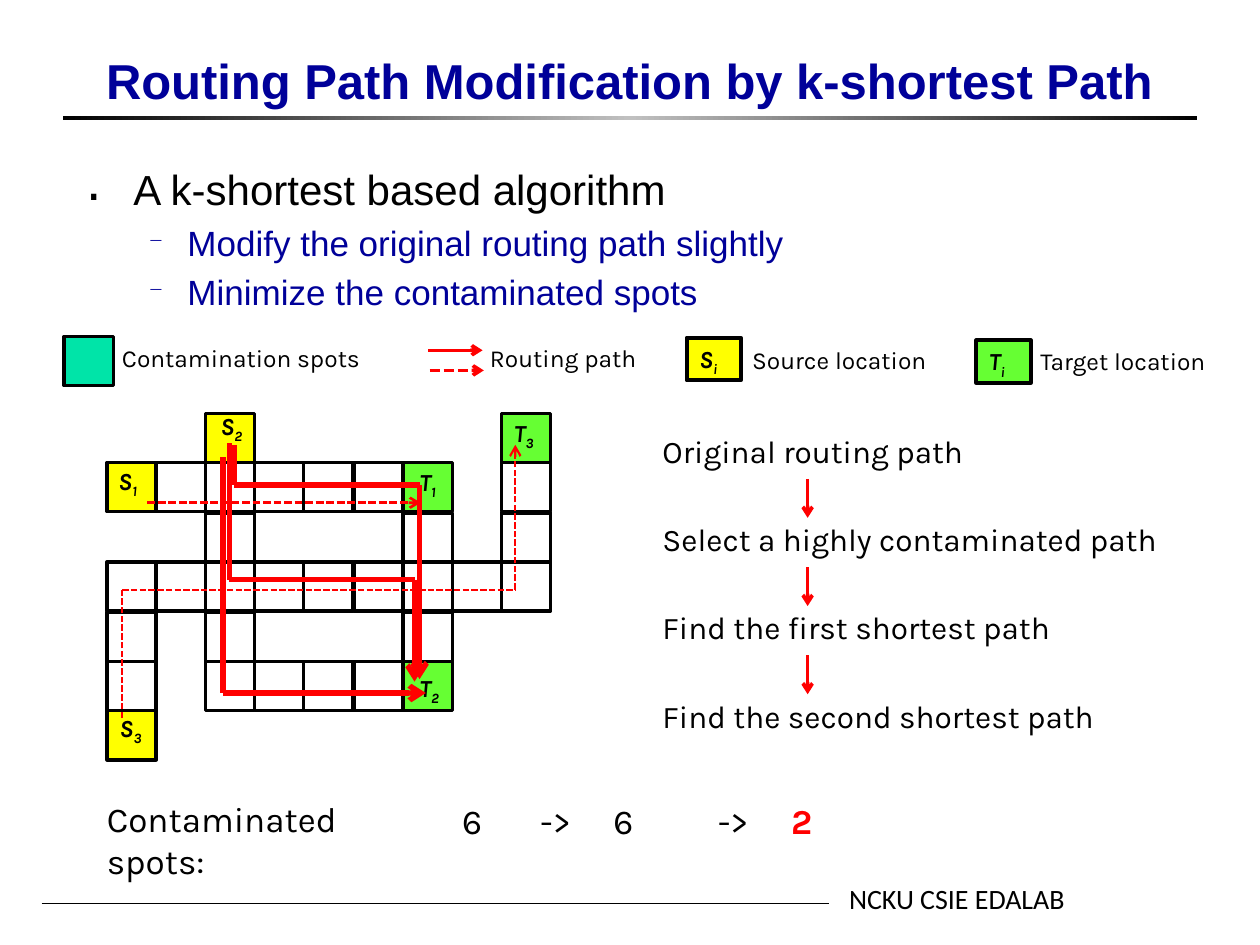
from pptx import Presentation
from pptx.dml.color import RGBColor
from pptx.enum.dml import MSO_LINE
from pptx.enum.shapes import MSO_CONNECTOR, MSO_SHAPE
from pptx.enum.text import MSO_ANCHOR, MSO_AUTO_SIZE, PP_ALIGN
from pptx.oxml import parse_xml
from pptx.oxml.ns import nsdecls, qn
from pptx.util import Pt

PX = 9144  # 100 px to the inch
STRAIGHT = MSO_CONNECTOR.STRAIGHT
RECTANGLE = MSO_SHAPE.RECTANGLE
DASH = MSO_LINE.SQUARE_DOT
NO_AUTOFIT = MSO_AUTO_SIZE.NONE

BLACK = RGBColor(0x00, 0x00, 0x00)
WHITE = RGBColor(0xFF, 0xFF, 0xFF)
NAVY = RGBColor(0x00, 0x00, 0x99)
RED = RGBColor(0xFF, 0x00, 0x00)
YELLOW = RGBColor(0xFF, 0xFF, 0x00)
GREEN = RGBColor(0x66, 0xFF, 0x33)
TEAL = RGBColor(0x00, 0xE4, 0xA8)

CELL = 39
COLUMN_STEP, ROW_STEP = 39.1, 39.4
# S = source, T = target, # = plain cell
GRID = [
    "..S.....T",
    "S#####T.#",
    "..#...#.#",
    "#########",
    "#.#...#..",
    "#.####T..",
    "S........",
]
CELL_FILLS = {"S": YELLOW, "T": GREEN, "#": WHITE}
CELL_LABELS = [
    ("S", "1", -1, 37), ("T", "1", 238, 38), ("S", "2", 80, -7),
    ("T", "2", 238, 201), ("S", "3", 0, 233), ("T", "3", 313, -1),
]
# (points, line width, dashed)
ROUTES = [
    ([(32, 71), (249, 71)], 1.5, True),
    ([(12, 242), (12, 140), (324, 140), (324, 25)], 1.25, True),
    ([(97, 24), (97, 132), (244, 132), (244, 213)], 3, False),
    ([(101, 25), (101, 57), (248, 57), (248, 211)], 3, False),
    ([(92, 35), (92, 222), (253, 222)], 3, False),
]
STEPS = ["Original routing path", "Select a highly contaminated path",
         "Find the first shortest path", "Find the second shortest path"]


def emu(*lengths):
    return [length * PX for length in lengths]


def set_font(font, size, color=BLACK, name="Karla", bold=False, italic=False):
    font.size, font.name = Pt(size), name
    font.bold, font.italic = bold, italic
    font.color.rgb = color


def add_text(slide, left, top, width, height, text, size, name="Karla"):
    box = slide.shapes.add_textbox(*emu(left, top, width, height))
    box.text_frame.word_wrap = True
    paragraph = box.text_frame.paragraphs[0]
    paragraph.text = text
    set_font(paragraph.font, size, name=name)
    return paragraph


def write_symbol(paragraph, letter, index):
    """A bold italic letter with a subscript."""
    set_font(paragraph.font, 14, bold=True, italic=True)
    paragraph.add_run().text = letter
    subscript = paragraph.add_run()
    subscript.text = index
    subscript.font._element.set("baseline", "-25000")


def add_box(slide, left, top, width, height, fill, line_width=2.0):
    box = slide.shapes.add_shape(RECTANGLE, *emu(left, top, width, height))
    box.shadow.inherit = False
    box.fill.solid()
    box.fill.fore_color.rgb = fill
    box.line.color.rgb = BLACK
    box.line.width = Pt(line_width)
    return box


def add_line(slide, start, end, color, width, dashed=False, arrow=False):
    connector = slide.shapes.add_connector(STRAIGHT, *emu(*start, *end))
    connector.line.color.rgb = color
    connector.line.width = Pt(width)
    if dashed:
        connector.line.dash_style = DASH
    properties = connector._element.spPr
    if arrow:
        properties.find(qn("a:ln")).append(
            parse_xml(f'<a:tailEnd {nsdecls("a")} type="arrow"/>'))
    properties.append(parse_xml(f'<a:effectLst {nsdecls("a")}/>'))


def add_header(slide, left, top, width, height):
    title = slide.shapes.title
    title.left, title.top, title.width, title.height = emu(left, top, width, height)
    frame = title.text_frame
    frame.text = "Routing Path Modification by k-shortest Path"
    frame.vertical_anchor = MSO_ANCHOR.BOTTOM
    frame.auto_size = NO_AUTOFIT
    frame.paragraphs[0].alignment = PP_ALIGN.CENTER
    set_font(frame.paragraphs[0].font, 28, NAVY, "Arial", bold=True)

    # Gradient rule under the title
    rule = add_box(slide, left - 12, top + height, width + 25, 3, BLACK)
    rule.line.fill.background()
    stops = "".join(
        f'<a:gs pos="{position}"><a:srgbClr val="{color}"/></a:gs>'
        for position, color in [(0, "000000"), (50000, "C0C0C0"), (100000, "000000")])
    properties = rule._element.spPr
    properties.replace(properties.find(qn("a:solidFill")), parse_xml(
        f'<a:gradFill {nsdecls("a")}><a:gsLst>{stops}</a:gsLst><a:lin ang="0"/></a:gradFill>'))


def add_bullets(slide, left, top, width, height):
    bullets = [
        ("A k-shortest based algorithm", 0, 24, BLACK, 38, 38, "․", 120),
        ("Modify the original routing path slightly", 1, 20, NAVY, 81, 31, "─", 55),
        ("Minimize the contaminated spots", 1, 20, NAVY, 81, 31, "─", 55),
    ]
    frame = slide.shapes.add_textbox(*emu(left, top, width, height)).text_frame
    frame.word_wrap = True
    for number, (text, level, size, color, margin, hang, mark, scale) in enumerate(bullets):
        paragraph = frame.add_paragraph() if number else frame.paragraphs[0]
        paragraph.text = text
        paragraph.level = level
        paragraph.space_before = Pt(size * 0.2)
        set_font(paragraph.font, size, color, "Arial")
        properties = paragraph._p.get_or_add_pPr()
        properties.set("marL", str(margin * PX))
        properties.set("indent", str(-hang * PX))
        marks = [f'buClr {nsdecls("a")}><a:srgbClr val="{color}"/></a:buClr>',
                 f'buSzPct {nsdecls("a")} val="{scale * 1000}"/>',
                 f'buChar {nsdecls("a")} char="{mark}"/>']
        # Bullet settings stand before the default run properties
        for mark_xml in marks:
            properties.find(qn("a:defRPr")).addprevious(parse_xml("<a:" + mark_xml))


def add_legend(slide, left, top):
    add_box(slide, left, top, CELL, CELL, TEAL)
    add_line(slide, (left + 289, top + 11), (left + 332, top + 11), RED, 2, arrow=True)
    add_line(slide, (left + 290, top + 27), (left + 333, top + 27), RED, 2, True, True)
    for x, y, letter, fill in [(494, 1, "S", YELLOW), (724, 3, "T", GREEN)]:
        box = add_box(slide, left + x, top + y, 43, 34, fill, 2.25)
        box.text_frame.vertical_anchor = MSO_ANCHOR.TOP
        paragraph = box.text_frame.paragraphs[0]
        paragraph.alignment = PP_ALIGN.LEFT
        write_symbol(paragraph, letter, "i")
    for x, y, width, text in [(36, 0, 244, "Contamination spots"), (328, 0, 159, "Routing path"),
                              (536, 2, 179, "Source location"), (765, 3, 193, "Target location")]:
        add_text(slide, left + x, top + y, width, 34, text, 14)


def add_routing_grid(slide, left, top):
    for row, cells in enumerate(GRID):
        for column, kind in enumerate(cells):
            if kind in CELL_FILLS:
                add_box(slide, left + round(column * COLUMN_STEP),
                        top + round(row * ROW_STEP), CELL, CELL, CELL_FILLS[kind])
    for letter, index, x, y in CELL_LABELS:
        write_symbol(add_text(slide, left + x, top + y, 50, 34, "", 14), letter, index)
    for points, width, dashed in ROUTES:
        corners = [(left + x, top + y) for x, y in points]
        for start, end in zip(corners, corners[1:]):
            add_line(slide, start, end, RED, width, dashed, arrow=end == corners[-1])


def add_steps(slide, left, top, width):
    for number, text in enumerate(STEPS):
        y = top + number * 70
        add_text(slide, left, y, width, 40, text, 18)
        if number < len(STEPS) - 1:
            add_line(slide, (left + 125, y + 42), (left + 125, y + 73), RED, 2, arrow=True)


def add_result(slide, left, top):
    add_text(slide, left, top, 276, 44, "Contaminated spots:", 20)
    add_text(slide, left + 282, top + 2, 42, 44, "6", 20)
    for x, count in [(344, "6"), (485, "2")]:
        paragraph = add_text(slide, left + x, top + 2, 128, 44, "->\t", 20)
        paragraph._p.get_or_add_pPr().find(qn("a:defRPr")).addprevious(parse_xml(
            f'<a:tabLst {nsdecls("a")}><a:tab pos="{58 * PX}" algn="l"/></a:tabLst>'))
        run = paragraph.add_run()
        run.text = count
        if count == "2":
            set_font(run.font, 20, RED, bold=True)


def add_footer(slide, left, top):
    add_line(slide, (left, top + 22), (left + 625, top + 22), BLACK, 0.5)
    add_text(slide, left + 631, top, 219, 37, "NCKU CSIE EDALAB", 16, "Calibri")


def main():
    presentation = Presentation()
    presentation.slide_width, presentation.slide_height = emu(1000, 750)
    slide = presentation.slides.add_slide(presentation.slide_layouts[5])
    add_header(slide, 62, 0, 875, 92)
    add_bullets(slide, 58, 125, 883, 542)
    add_legend(slide, 51, 267)
    add_routing_grid(slide, 85, 328)
    add_steps(slide, 516, 338, 430)
    add_result(slide, 75, 628)
    add_footer(slide, 33, 695)
    presentation.save("out.pptx")


if __name__ == "__main__":
    main()
